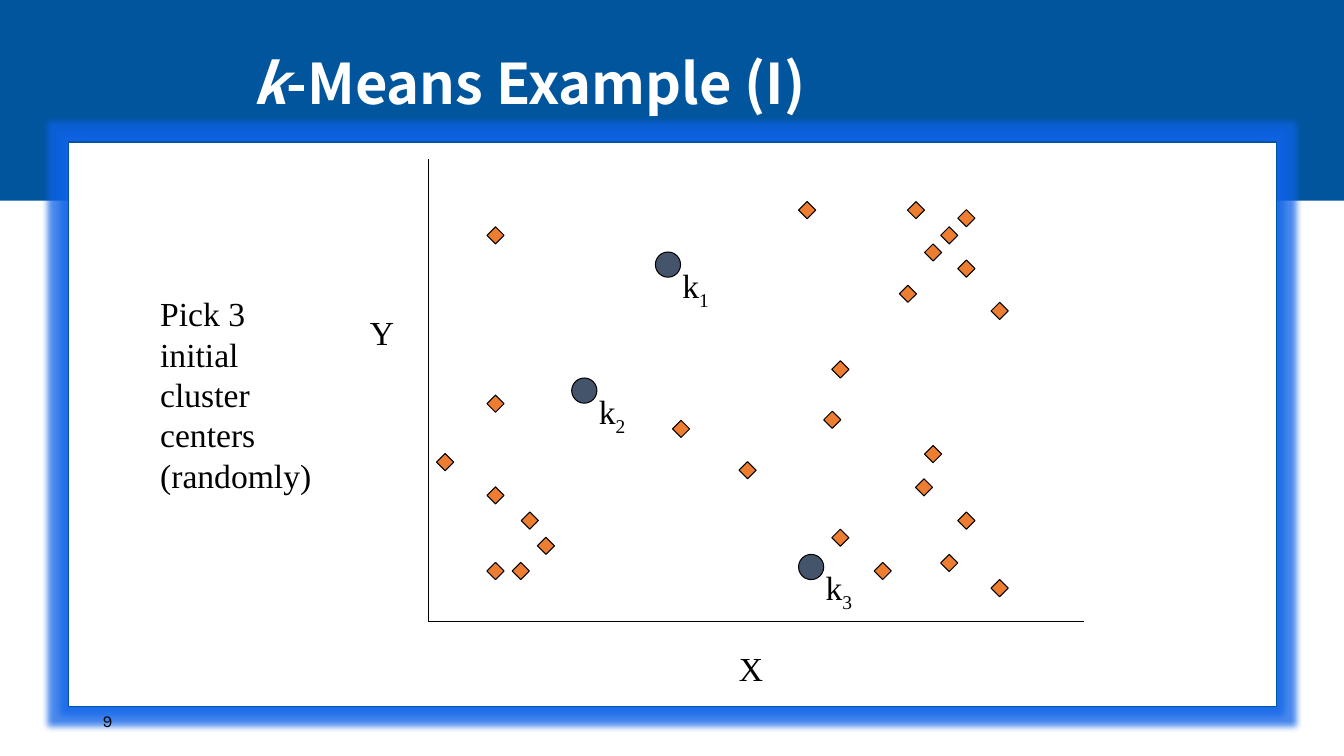
from lxml import etree
from pptx import Presentation
from pptx.dml.color import RGBColor
from pptx.enum.shapes import MSO_CONNECTOR, MSO_SHAPE as SHAPE
from pptx.enum.text import MSO_ANCHOR as ANCHOR
from pptx.oxml.ns import qn
from pptx.util import Inches, Pt

prs = Presentation()
prs.slide_width, prs.slide_height = Inches(13.33), Inches(7.5)
s = prs.slides.add_slide(prs.slide_layouts[6])


def add_shape(kind, x, y, w, h, fill, line=None, line_width=0.75):
    sp = s.shapes.add_shape(kind, Inches(x), Inches(y), Inches(w), Inches(h))
    sp.shadow.inherit = False
    sp.fill.solid()
    sp.fill.fore_color.rgb = RGBColor.from_string(fill)
    if line:
        sp.line.color.rgb = RGBColor.from_string(line)
        sp.line.width = Pt(line_width)
    else:
        sp.line.fill.background()
    return sp


def add_text(x, y, w, h, lines, size=24, font="Times New Roman", color="000000",
             anchor=ANCHOR.TOP, wrap=False):
    """Add a text box with one paragraph per line and return its text frame."""
    tf = s.shapes.add_textbox(Inches(x), Inches(y), Inches(w), Inches(h)).text_frame
    tf.word_wrap = wrap
    tf.vertical_anchor = anchor
    for i, line in enumerate(lines):
        p = tf.paragraphs[0] if i == 0 else tf.add_paragraph()
        p.add_run().text = line
        p.font.size = Pt(size)
        p.font.name = font
        p.font.color.rgb = RGBColor.from_string(color)
    return tf


# Banner and glowing content panel
add_shape(SHAPE.RECTANGLE, -0.01, -0.01, 13.36, 2, "00559D")
panel = add_shape(SHAPE.RECTANGLE, 0.68, 1.41, 11.98, 5.6, "FFFFFF", "0055A2", 1)
effects = panel._element.spPr.find(qn("a:effectLst"))
glow = etree.SubElement(effects, qn("a:glow"), rad=str(Inches(0.14)))
glow_color = etree.SubElement(glow, qn("a:srgbClr"), val="1063E8")
etree.SubElement(glow_color, qn("a:alpha"), val="75000")

# Page number and title
add_text(0.92, 6.95, 3, 0.4, ["9"], 12, "Karla", anchor=ANCHOR.MIDDLE, wrap=True)
title = add_text(2.41, 0.42, 8.42, 0.88, ["k"], 40, "Noto Sans CJK SC", "FFFFFF",
                 ANCHOR.MIDDLE, True)
p = title.paragraphs[0]
p.line_spacing = 0.9
p.font.bold = True
p.runs[0].font.italic = True
p.add_run().text = "-Means Example (I)"
for r in p.runs:
    rPr = r._r.get_or_add_rPr()
    etree.SubElement(rPr, qn("a:ea"), typeface="Noto Sans CJK SC")

# Data points
points = [
    (5.17, 5.08), (5.33, 5.33), (5.08, 5.58), (4.83, 4.83), (4.83, 2.25),
    (4.83, 3.92), (4.83, 5.58), (4.33, 4.5), (6.67, 4.17), (9, 2),
    (9.5, 2.08), (9.33, 2.25), (9.17, 2.42), (9.5, 2.58), (9.83, 3),
    (7.92, 2), (8.25, 3.58), (8.25, 5.25), (8.67, 5.58), (9.08, 4.75),
    (8.17, 4.08), (7.33, 4.58), (9.5, 5.08), (9.33, 5.5), (9.17, 4.42),
    (9.83, 5.75), (8.92, 2.83),
]
for x, y in points:
    add_shape(SHAPE.DIAMOND, x, y, 0.17, 0.17, "ED7D31", "000000")

# Cluster centers with subscripted labels
centers = [(6.5, 2.5), (5.67, 3.75), (7.92, 5.5)]
for number, (x, y) in enumerate(centers, 1):
    add_shape(SHAPE.OVAL, x, y, 0.25, 0.25, "44546A", "000000")
    p = add_text(x + 0.17, y + 0.08, 0.58, 0.5, ["k"], wrap=True).paragraphs[0]
    r = p.add_run()
    r.text = str(number)
    r._r.get_or_add_rPr().set("baseline", "-25000")

# Axes from the shared origin
origin = (4.25, 6.17)
for end in [(4.25, 1.58), (10.75, 6.17)]:
    axis = s.shapes.add_connector(MSO_CONNECTOR.STRAIGHT, *map(Inches, origin + end))
    axis.line.color.rgb = RGBColor.from_string("000000")
    axis.line.width = Pt(0.75)
    etree.SubElement(axis._element.spPr, qn("a:effectLst"))

add_text(7.23, 6.38, 0.44, 0.5, ["X"])
add_text(3.57, 3.05, 0.44, 0.5, ["Y"])
add_text(1.49, 2.86, 1.71, 2.52, ["Pick 3", "initial", "cluster", "centers", "(randomly)"])

prs.save("out.pptx")
